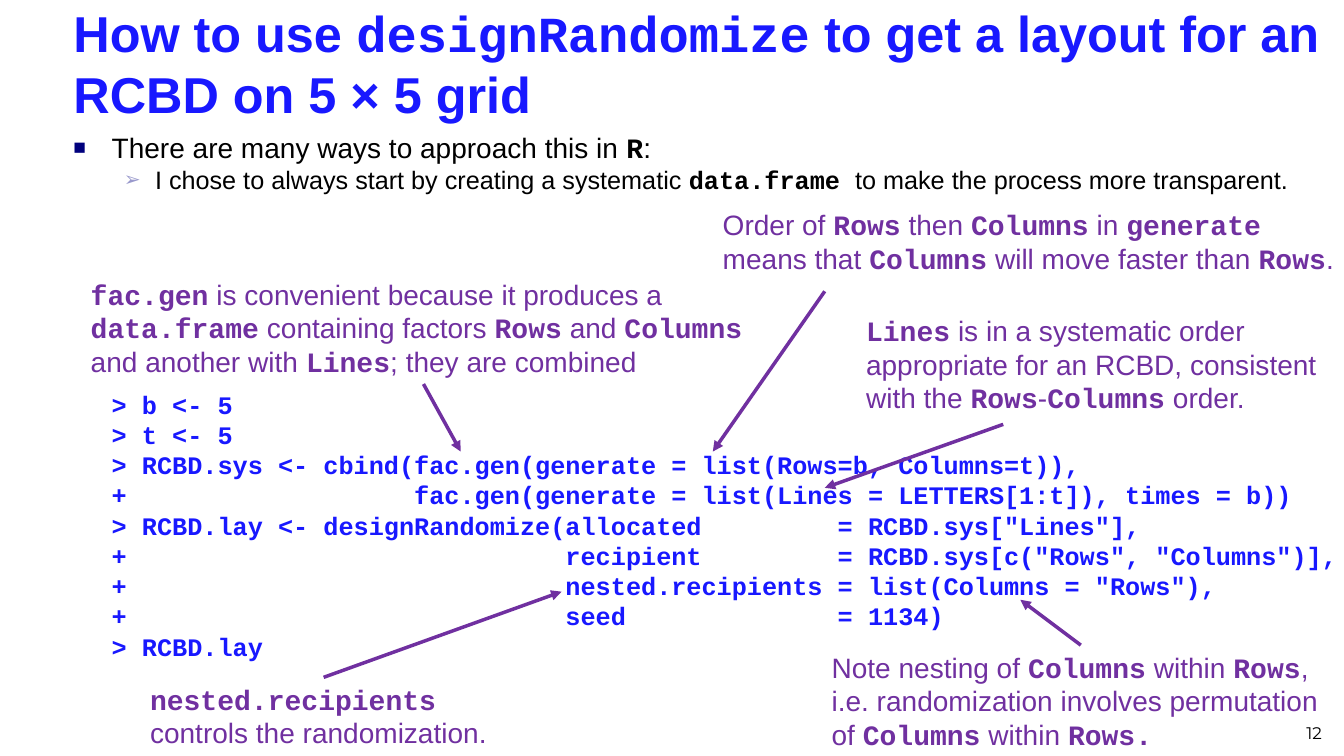
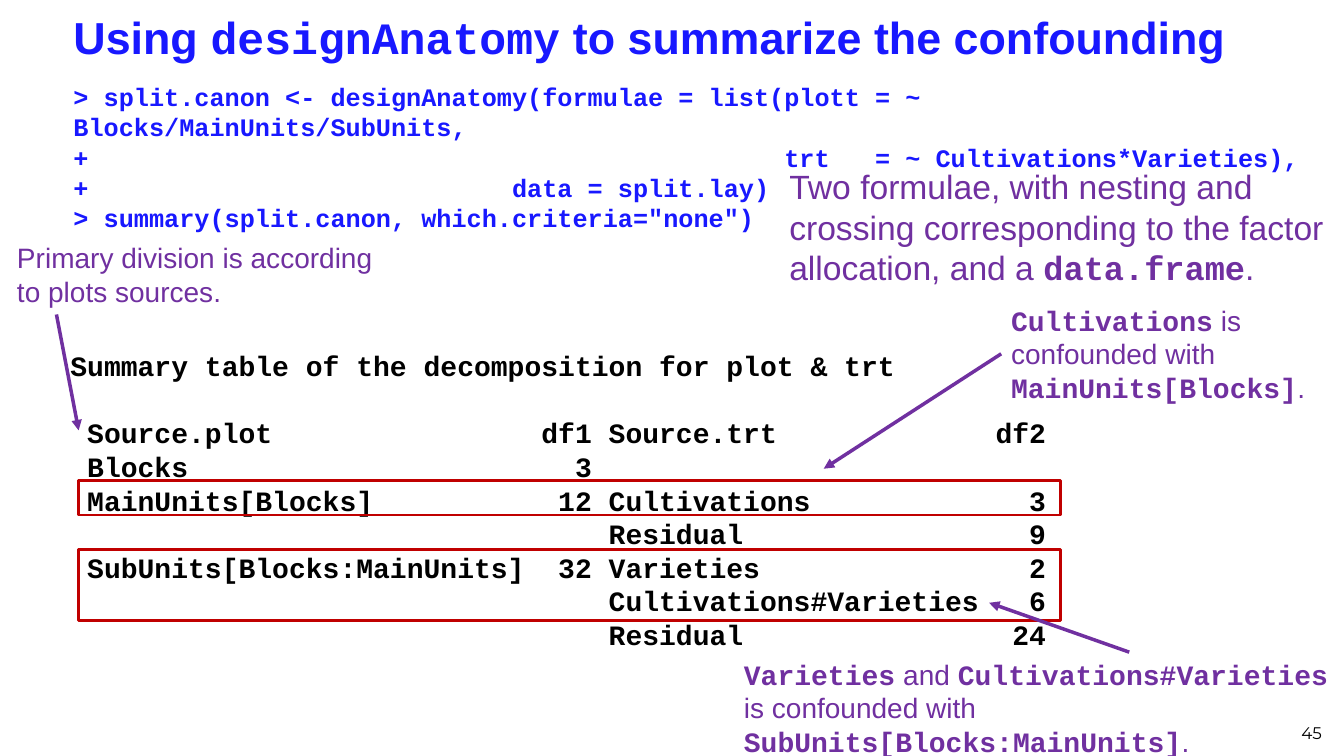
import pptx
import pptx.util
import pptx.dml.color
import pptx.enum.shapes
import pptx.enum.text
import pptx.oxml.ns
import lxml.etree

RGB = pptx.dml.color.RGBColor
ALIGN = pptx.enum.text.PP_ALIGN
ANCHOR = pptx.enum.text.MSO_ANCHOR
SHAPE = pptx.enum.shapes.MSO_SHAPE
LINK = pptx.enum.shapes.MSO_CONNECTOR
qn = pptx.oxml.ns.qn

PX = 9144  # 100 px to the inch
WIDE, HIGH = 1333, 750
BLUE = RGB(0x18, 0x18, 0xFF)
PURPLE = RGB(0x70, 0x30, 0xA0)
RED = RGB(0xC0, 0x00, 0x00)
BLACK = RGB(0x00, 0x00, 0x00)
NAVY = RGB(0x00, 0x00, 0x7D)
LILAC = RGB(0x99, 0x99, 0xCC)
SANS, MONO, PAGE = "Arial", "Courier New", "Montserrat"
LEFT, SPAN = 63, 1260  # shared text column
LEAD = 1.2  # line pitch in type sizes
ROW = 34  # row pitch of printed output


def px(*nums):
    return [round(n * PX) for n in nums]


def frame(slide, box, pad=(10, 5), anchor=ANCHOR.TOP):
    """Empty wrapped text box."""
    text = slide.shapes.add_textbox(*px(*box)).text_frame
    text.word_wrap = True
    text.vertical_anchor = anchor
    text.margin_left = text.margin_right = px(pad[0])[0]
    text.margin_top = text.margin_bottom = px(pad[1])[0]
    return text


def fill(para, parts, size, color):
    """Add (text, font, bold) runs to a paragraph."""
    para.line_spacing = pptx.util.Pt(round(size * LEAD, 1))
    for words, face, bold in parts:
        run = para.add_run()
        run.text = words
        run.font.name, run.font.bold = face, bold
        run.font.size = pptx.util.Pt(size)
        run.font.color.rgb = color


def mix(text, bold=False):
    """Split prose into runs; words between backticks are code."""
    return [(part, MONO if i % 2 else SANS, bool(i % 2) or bold)
            for i, part in enumerate(text.split("`")) if part]


def paras(text, count):
    return [text.paragraphs[0]] + [text.add_paragraph() for _ in range(count - 1)]


def indent(para, left, first):
    props = para._p.get_or_add_pPr()
    props.set("marL", str(left * PX))
    props.set("indent", str(first * PX))
    return props


# Shared regions

def title(slide, box, text, size):
    fill(frame(slide, box, anchor=ANCHOR.MIDDLE).paragraphs[0],
         mix(text, True), size, BLUE)


def number(slide, text):
    para = frame(slide, (1010, 692, 311, 50), anchor=ANCHOR.BOTTOM).paragraphs[0]
    para.alignment = ALIGN.RIGHT
    fill(para, [(text, PAGE, False)], 12, BLACK)


def code(slide, box, text, size=18, color=BLUE, left=0):
    lines = text.strip("\n").split("\n")
    rows = paras(frame(slide, box), len(lines))
    for para, line in zip(rows, lines):
        indent(para, left, 0)
        fill(para, [(line, MONO, True)], size, color)
    return rows


def note(slide, box, *texts, size=20, pad=(10, 5)):
    for para, text in zip(paras(frame(slide, box, pad), len(texts)), texts):
        fill(para, mix(text), size, PURPLE)


def arrow(slide, *ends):
    line = slide.shapes.add_connector(LINK.STRAIGHT, *px(*ends))
    line.line.color.rgb = PURPLE
    line.line.width = pptx.util.Pt(2.5)
    tip = lxml.etree.SubElement(line.line._get_or_add_ln(), qn("a:tailEnd"))
    tip.set("type", "triangle")
    lxml.etree.SubElement(line._element.spPr, qn("a:effectLst"))


def bullets(slide, box, items):
    """Items are (text, size, left, first, mark, tint, percent)."""
    rows = paras(frame(slide, box), len(items))
    for para, (text, size, left, first, mark, tint, part) in zip(rows, items):
        props = indent(para, left, first)
        hue = lxml.etree.SubElement(props, qn("a:buClr"))
        lxml.etree.SubElement(hue, qn("a:srgbClr")).set("val", str(tint))
        for tag, key, val in (("a:buSzPct", "val", str(part * 1000)),
                              ("a:buFont", "typeface", SANS),
                              ("a:buChar", "char", mark)):
            lxml.etree.SubElement(props, qn(tag)).set(key, val)
        fill(para, mix(text), size, BLACK)


def output(slide, box, text, marks):
    """Printed table; marks are (row, height) of the red frames."""
    rows = code(slide, box, text, 20, BLACK)
    rows[1].space_before = pptx.util.Pt(20 * LEAD)
    for row, high in marks:
        mark = slide.shapes.add_shape(
            SHAPE.RECTANGLE, *px(box[0] + 18, box[1] + row * ROW, 974, high))
        mark.shadow.inherit = False
        mark.fill.background()
        mark.line.color.rgb = RED
        mark.line.width = pptx.util.Pt(2)


LAYOUT = """
> b <- 5
> t <- 5
> RCBD.sys <- cbind(fac.gen(generate = list(Rows=b, Columns=t)),
+                   fac.gen(generate = list(Lines = LETTERS[1:t]), times = b))
> RCBD.lay <- designRandomize(allocated         = RCBD.sys["Lines"],
+                             recipient         = RCBD.sys[c("Rows", "Columns")],
+                             nested.recipients = list(Columns = "Rows"),
+                             seed              = 1134)
> RCBD.lay
"""

ANATOMY = """
> split.canon <- designAnatomy(formulae = list(plott = ~ Blocks/MainUnits/SubUnits,
+                                              trt   = ~ Cultivations*Varieties),
+                            data = split.lay)
> summary(split.canon, which.criteria="none")
"""

SUMMARY = """
Summary table of the decomposition for plot & trt
 Source.plot                df1 Source.trt             df2
 Blocks                       3
 MainUnits[Blocks]           12 Cultivations             3
                                Residual                 9
 SubUnits[Blocks:MainUnits]  32 Varieties                2
                                Cultivations#Varieties   6
                                Residual                24
"""


def layout(slide):
    title(slide, (LEFT, 23, SPAN, 79), "How to use `designRandomize` to get "
          "a layout for an RCBD on 5 × 5 grid", 36)
    bullets(slide, (LEFT, 125, SPAN, 77), [
        ("There are many ways to approach this in `R`:",
         20, 38, -38, "■", NAVY, 75),
        ("I chose to always start by creating a systematic `data.frame `"
         "to make the process more transparent.", 18, 81, -31, "➢", LILAC, 80)])
    code(slide, (LEFT, 381, 1278, 280), LAYOUT, left=38)
    number(slide, "12")

    # Remarks and their arrows
    note(slide, (846, 304, 488, 117), "`Lines` is in a systematic order "
         "appropriate for an RCBD, consistent with the `Rows`-`Columns` order.",
         pad=(13, 7))
    note(slide, (707, 201, 627, 77), "Order of `Rows` then `Columns` in "
         "`generate` means that `Columns` will move faster than `Rows`.")
    note(slide, (139, 672, 364, 77),
         "`nested.recipients` controls the randomization.")
    note(slide, (77, 268, 685, 113), "`fac.gen` is convenient because it "
         "produces a `data.frame` containing factors `Rows` and `Columns` "
         "and another with `Lines`; they are combined", pad=(13, 7))
    note(slide, (815, 640, 514, 111), "Note nesting of `Columns` within `Rows`,",
         "i.e. randomization involves permutation of `Columns` within `Rows.`")
    for ends in ((420, 381, 457, 448), (995, 421, 818, 484),
                 (818, 289, 707, 448), (321, 672, 557, 587),
                 (1072, 640, 1012, 595)):
        arrow(slide, *ends)


def anatomy(slide):
    title(slide, (LEFT, -3, SPAN, 79),
          "Using `designAnatomy` to summarize the confounding", 32)
    code(slide, (LEFT, 76, SPAN, 136), ANATOMY)
    number(slide, "45")
    output(slide, (60, 341, SPAN, 315), SUMMARY, ((4, 34), (6, 71)))

    # Remarks and their arrows
    note(slide, (773, 160, 559, 126), "Two formulae, with nesting and crossing "
         "corresponding to the factor allocation, and a `data.frame`.", size=24)
    note(slide, (993, 296, 327, 111),
         "`Cultivations` is confounded with `MainUnits[Blocks]`.")
    note(slide, (728, 647, 617, 111), "`Varieties` and `Cultivations#Varieties` "
         "is confounded with `SubUnits[Blocks:MainUnits]`.")
    note(slide, (7, 234, 378, 77),
         "Primary division is according to plots sources.")
    for ends in ((993, 351, 817, 465), (56, 312, 78, 427),
                 (1120, 647, 981, 598)):
        arrow(slide, *ends)


def main():
    deck = pptx.Presentation()
    deck.slide_width, deck.slide_height = px(WIDE, HIGH)
    for build in (layout, anatomy):
        build(deck.slides.add_slide(deck.slide_layouts[6]))
    deck.save("out.pptx")


if __name__ == "__main__":
    main()
